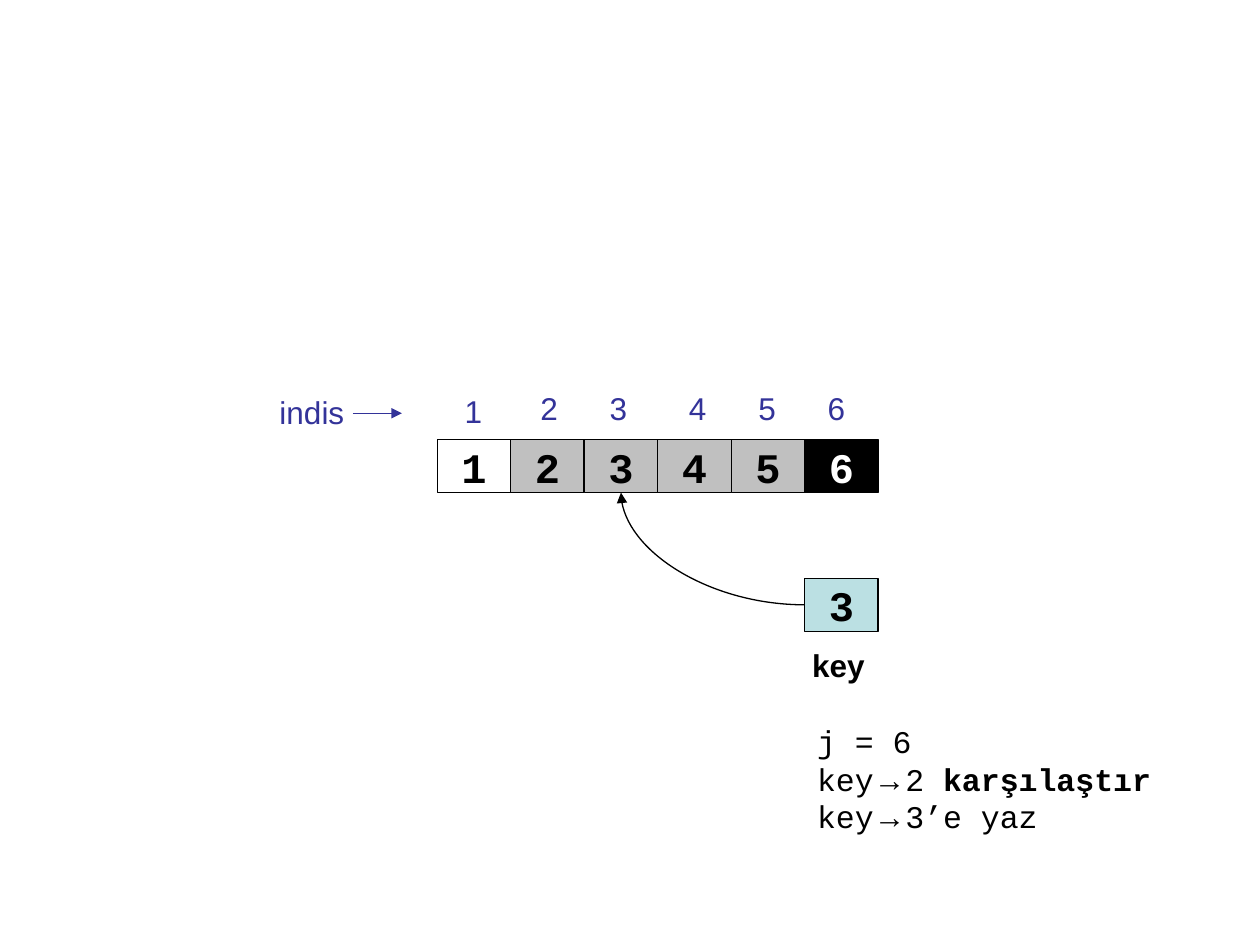
from lxml import etree
from pptx import Presentation
from pptx import util as u
from pptx.dml.color import RGBColor
from pptx.enum import shapes, text
from pptx.oxml.ns import qn

BLACK = RGBColor(0x00, 0x00, 0x00)
WHITE = RGBColor(0xFF, 0xFF, 0xFF)
GRAY = RGBColor(0xC0, 0xC0, 0xC0)
TEAL = RGBColor(0xBB, 0xE0, 0xE3)
INDIGO = RGBColor(0x33, 0x33, 0x99)
SANS = "Arial"
MONO = "Courier New"
CELL_WIDTH = u.Inches(3.5 / 6)
CELL_HEIGHT = u.Inches(0.42)
LABEL_HEIGHT = u.Inches(0.4)


def format_run(run, size, font, color, bold=False):
    """Set the character format of a run."""
    run.font.size = u.Pt(size)
    run.font.name = font
    run.font.bold = bold
    run.font.color.rgb = color


def add_cell(slide, left, top, value, fill, color=BLACK):
    """Draw one bordered cell with a centred value and return it."""
    cell = slide.shapes.add_shape(
        shapes.MSO_SHAPE.RECTANGLE, left, top, CELL_WIDTH, CELL_HEIGHT)
    cell.shadow.inherit = False
    cell.fill.solid()
    cell.fill.fore_color.rgb = fill
    cell.line.color.rgb = BLACK
    cell.line.width = u.Pt(0.75)
    frame = cell.text_frame
    frame.word_wrap = False
    frame.vertical_anchor = text.MSO_ANCHOR.MIDDLE
    frame.text = value
    paragraph = frame.paragraphs[0]
    paragraph.alignment = text.PP_ALIGN.CENTER
    format_run(paragraph.runs[0], 24, MONO, color, True)
    return cell


def add_text_box(slide, left, top, width, height):
    """Add an unwrapped text box that grows with its text and return its frame."""
    frame = slide.shapes.add_textbox(left, top, width, height).text_frame
    frame.word_wrap = False
    frame.auto_size = text.MSO_AUTO_SIZE.SHAPE_TO_FIT_TEXT
    return frame


def add_label(slide, left, top, width, label, color, bold=False):
    """Place a one-line label."""
    frame = add_text_box(slide, left, top, width, LABEL_HEIGHT)
    frame.text = label
    format_run(frame.paragraphs[0].runs[0], 18, SANS, color, bold)


def style_arrow(connector, color):
    """Give a connector a thin line, a triangle head and no shadow."""
    connector.line.color.rgb = color
    connector.line.width = u.Pt(0.75)
    line = connector.line._get_or_add_ln()
    etree.SubElement(line, qn("a:tailEnd"), type="triangle")
    etree.SubElement(connector._element.spPr, qn("a:effectLst"))


def add_index_row(slide, left, top):
    """Place the index caption, its arrow and the numbers above the array."""
    add_label(slide, left, top + u.Inches(0.03), u.Inches(0.74), "indis", INDIGO)
    arrow_y = top + u.Inches(0.24)
    arrow = slide.shapes.add_connector(
        shapes.MSO_CONNECTOR.STRAIGHT,
        left + u.Inches(0.68), arrow_y, left + u.Inches(1.07), arrow_y)
    style_arrow(arrow, INDIGO)
    offsets = [(1.47, 0.02), (2.07, 0), (2.62, 0), (3.25, 0), (3.8, 0), (4.35, 0)]
    for number, (x, y) in enumerate(offsets, start=1):
        add_label(slide, left + u.Inches(x), top + u.Inches(y),
                  u.Inches(0.34), str(number), INDIGO)


def add_array(slide, left, top):
    """Draw the row of array cells and return them."""
    styles = [(WHITE, BLACK)] + [(GRAY, BLACK)] * 4 + [(BLACK, WHITE)]
    return [add_cell(slide, left + index * CELL_WIDTH, top, str(index + 1), fill, color)
            for index, (fill, color) in enumerate(styles)]


def add_key(slide, left, top):
    """Draw the key cell with its caption and return the cell."""
    cell = add_cell(slide, left, top, "3", TEAL)
    add_label(slide, left - u.Inches(0.04), top + u.Inches(0.49),
              u.Inches(0.65), "key", BLACK, True)
    return cell


def add_key_arrow(slide, key, target):
    """Join the left of the key to the bottom of the target with a curved arrow."""
    arrow = slide.shapes.add_connector(shapes.MSO_CONNECTOR.CURVE, 0, 0, 0, 0)
    arrow.begin_connect(key, 1)
    arrow.end_connect(target, 2)
    properties = arrow._element.spPr
    properties.find(qn("a:prstGeom")).set("prst", "curvedConnector2")
    transform = properties.find(qn("a:xfrm"))
    for flip in ("flipH", "flipV"):
        transform.attrib.pop(flip, None)
    transform.set("rot", "10800000")
    style_arrow(arrow, BLACK)


def add_steps(slide, left, top):
    """Write the steps of the current pass."""
    frame = add_text_box(slide, left, top, u.Inches(2.87), u.Inches(1))
    steps = [
        [("j = 6", MONO, False)],
        [("key", MONO, False), ("→", SANS, False), ("2 ", MONO, False),
         ("karşılaştır", MONO, True)],
        [("key", MONO, False), ("→", SANS, False), ("3’e yaz", MONO, False)],
    ]
    for index, step in enumerate(steps):
        paragraph = frame.add_paragraph() if index else frame.paragraphs[0]
        for words, font, bold in step:
            run = paragraph.add_run()
            run.text = words
            format_run(run, 18, font, BLACK, bold)


def main():
    """Build the slide and save the presentation."""
    presentation = Presentation()
    presentation.slide_width = u.Inches(10)
    presentation.slide_height = u.Inches(7.5)
    slide = presentation.slides.add_slide(presentation.slide_layouts[6])
    array_left = u.Inches(3.47)
    key_left = array_left + 5 * CELL_WIDTH
    cells = add_array(slide, array_left, u.Inches(3.49))
    add_index_row(slide, u.Inches(2.12), u.Inches(3.04))
    key = add_key(slide, key_left, u.Inches(4.59))
    add_key_arrow(slide, key, cells[2])
    add_steps(slide, key_left, u.Inches(5.68))
    presentation.save("out.pptx")


if __name__ == "__main__":
    main()
